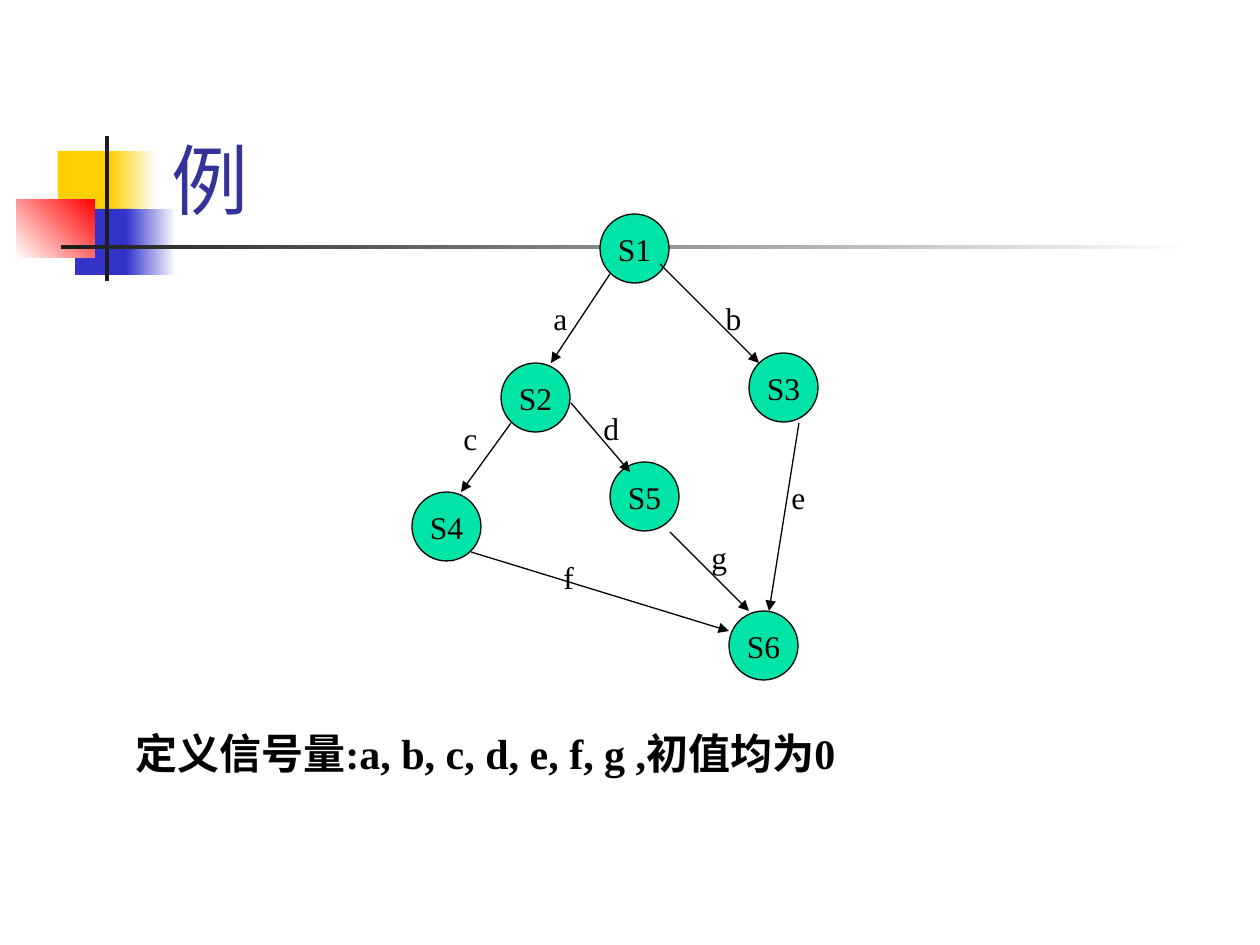
"""Draw a precedence graph of six statements joined by semaphores."""
from typing import NamedTuple, Optional

from lxml import etree
from pptx import Presentation
from pptx import util as u
from pptx.dml import color
from pptx.enum import shapes, text
from pptx.oxml import ns


class Theme(NamedTuple):
    yellow: str = "FFCF01"
    blue: str = "3333CC"
    red: str = "FF0000"
    dark: str = "1C1C1C"
    white: str = "FFFFFF"
    black: str = "000000"
    title: str = "333399"
    node: str = "00E4A8"
    title_font: str = "Lato"
    body_font: str = "Times New Roman"
    title_size: int = 44
    note_size: int = 24
    label_size: int = 18
    line_width: float = 0.75


class Block(NamedTuple):
    left: int
    top: int
    width: int
    height: int
    start: str
    end: Optional[str] = None
    angle: int = 0


class Node(NamedTuple):
    name: str
    left: int
    top: int


class Arrow(NamedTuple):
    start: tuple[int, int]
    end: tuple[int, int]


class Label(NamedTuple):
    words: str
    left: int
    top: int
    width: int = 30
    height: int = 50


class Style(NamedTuple):
    font: str
    size: int
    colour: str
    bold: bool = False


THEME = Theme()
TITLE = Style(THEME.title_font, THEME.title_size, THEME.title)
LABEL = Style(THEME.body_font, THEME.label_size, THEME.black)
NOTE = Style(THEME.body_font, THEME.note_size, THEME.black, True)
NODE_SIZE = 69

BLOCKS = [
    Block(58, 151, 61, 66, THEME.yellow),
    Block(110, 151, 46, 66, THEME.yellow, THEME.white),
    Block(75, 209, 58, 66, THEME.blue),
    Block(126, 209, 50, 66, THEME.blue, THEME.white),
    Block(17, 199, 78, 59, THEME.white, THEME.red, 45),
    Block(105, 136, 4, 145, THEME.dark),
    Block(61, 245, 1134, 4, THEME.dark, THEME.white),
]
NODES = [
    Node("S1", 600, 214),
    Node("S3", 749, 353),
    Node("S2", 501, 363),
    Node("S5", 610, 462),
    Node("S4", 412, 492),
    Node("S6", 729, 611),
]
ARROWS = [
    Arrow((610, 274), (551, 363)),
    Arrow((660, 264), (759, 363)),
    Arrow((511, 423), (461, 492)),
    Arrow((799, 423), (769, 611)),
    Arrow((471, 552), (729, 631)),
    Arrow((571, 403), (630, 472)),
    Arrow((670, 532), (749, 611)),
]
LABELS = [
    Label("a", 541, 293),
    Label("b", 709, 293, 49),
    Label("c", 451, 413),
    Label("d", 591, 403),
    Label("e", 779, 472),
    Label("f", 551, 552),
    Label("g", 699, 532),
]


def px(length: int) -> int:
    """Turn pixels into EMU."""
    return u.Emu(round(length * 914400 / 126))


def rgb(value: str) -> color.RGBColor:
    """Turn a hex string into a colour."""
    return color.RGBColor.from_string(value)


def write(frame, words: str, style: Style, align, anchor) -> None:
    """Write one styled span into a text frame."""
    frame.vertical_anchor = anchor
    para = frame.paragraphs[0]
    para.alignment = align
    span = para.add_run()
    span.text = words
    span.font.name = style.font
    span.font.size = u.Pt(style.size)
    span.font.bold = style.bold
    span.font.color.rgb = rgb(style.colour)


def draw_block(page, block: Block) -> None:
    """Draw a borderless rectangle with a plain or gradient fill."""
    box = page.shapes.add_shape(shapes.MSO_SHAPE.RECTANGLE, *map(px, block[:4]))
    box.shadow.inherit = False
    box.line.fill.background()
    if block.end is None:
        box.fill.solid()
        box.fill.fore_color.rgb = rgb(block.start)
        return
    box.fill.gradient()
    box.fill.gradient_angle = block.angle
    for stop, value in zip(box.fill.gradient_stops, (block.start, block.end)):
        stop.color.rgb = rgb(value)


def draw_node(page, node: Node) -> None:
    """Draw a named circle."""
    circle = page.shapes.add_shape(
        shapes.MSO_SHAPE.OVAL, px(node.left), px(node.top), px(NODE_SIZE), px(NODE_SIZE))
    circle.shadow.inherit = False
    circle.fill.solid()
    circle.fill.fore_color.rgb = rgb(THEME.node)
    circle.line.color.rgb = rgb(THEME.black)
    circle.line.width = u.Pt(THEME.line_width)
    circle.text_frame.word_wrap = False
    write(circle.text_frame, node.name, LABEL, text.PP_ALIGN.CENTER, text.MSO_ANCHOR.MIDDLE)


def draw_arrow(page, arrow: Arrow) -> None:
    """Draw a thin line with a triangle at its end."""
    line = page.shapes.add_connector(
        shapes.MSO_CONNECTOR.STRAIGHT, *map(px, arrow.start + arrow.end))
    line.line.color.rgb = rgb(THEME.black)
    line.line.width = u.Pt(THEME.line_width)
    properties = line.element.spPr
    outline = properties.find(ns.qn("a:ln"))
    etree.SubElement(outline, ns.qn("a:tailEnd"), type="triangle")
    etree.SubElement(properties, ns.qn("a:effectLst"))


def draw_text(page, label: Label, style: Style,
              align=text.PP_ALIGN.CENTER, anchor=text.MSO_ANCHOR.TOP) -> None:
    """Draw a wrapping text box."""
    box = page.shapes.add_textbox(*map(px, label[1:]))
    box.text_frame.word_wrap = True
    write(box.text_frame, label.words, style, align, anchor)


def main() -> None:
    """Build and save the deck."""
    deck = Presentation()
    deck.slide_width, deck.slide_height = u.Inches(10), u.Inches(7.5)
    page = deck.slides.add_slide(deck.slide_layouts[6])
    for block in BLOCKS:
        draw_block(page, block)
    draw_text(page, Label("例", 159, 29, 1074, 202), TITLE,
              text.PP_ALIGN.LEFT, text.MSO_ANCHOR.BOTTOM)
    for node in NODES:
        draw_node(page, node)
    for arrow in ARROWS:
        draw_arrow(page, arrow)
    for label in LABELS:
        draw_text(page, label, LABEL)
    draw_text(page, Label("定义信号量:a, b, c, d, e, f, g ,初值均为0", 64, 721, 843, 63), NOTE)
    deck.save("out.pptx")


if __name__ == "__main__":
    main()
